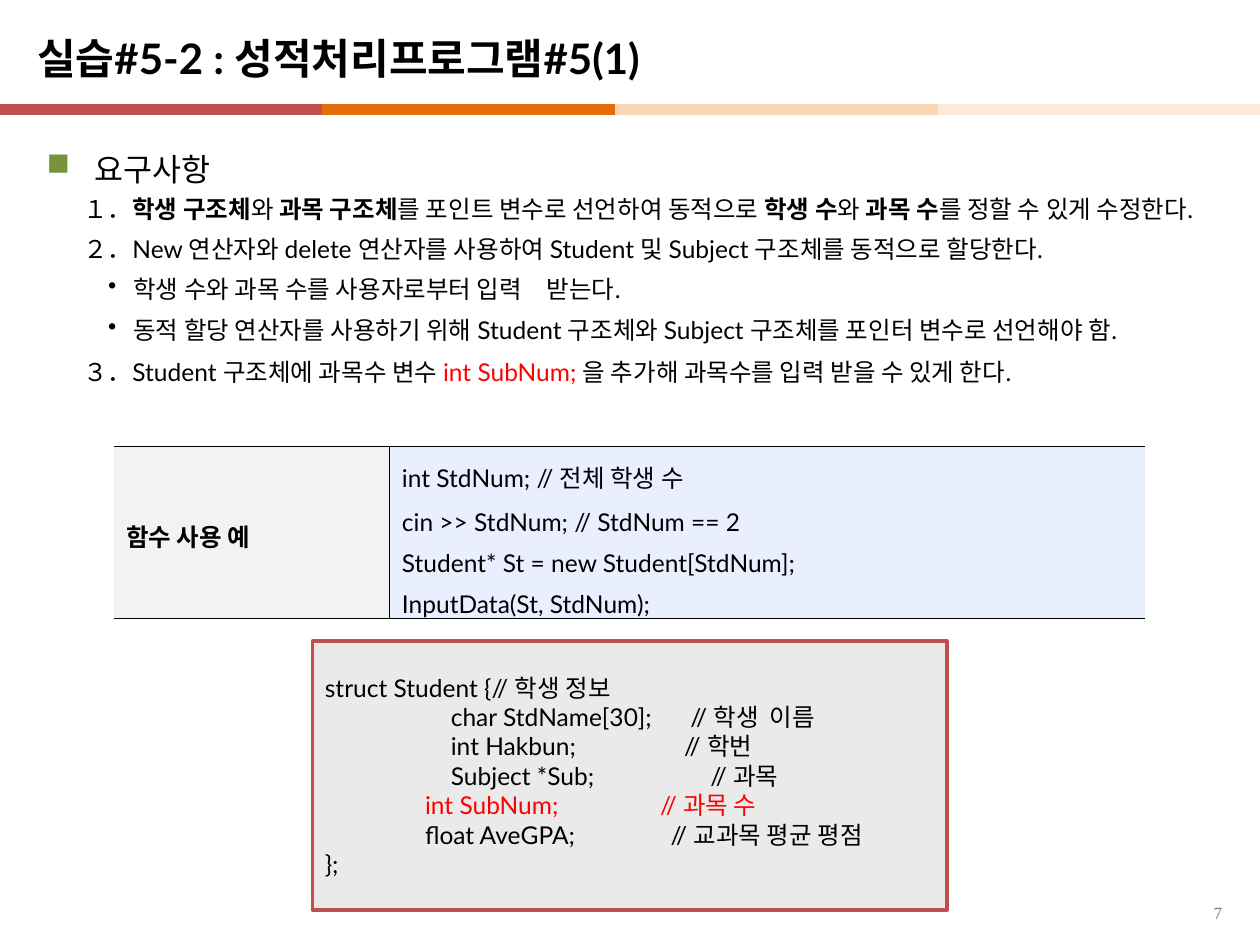
from lxml.etree import SubElement
from pptx import Presentation
from pptx.dml.color import RGBColor
from pptx.enum.shapes import MSO_CONNECTOR as Connector, MSO_SHAPE as Shape
from pptx.enum.text import MSO_ANCHOR as Anchor, PP_ALIGN as Align
from pptx.oxml.ns import qn
from pptx.util import Cm, Pt

COLORS = {
    "black": "000000", "red": "FF0000", "gray": "7F7F7F", "green": "77933C",
    "brick": "C0504D", "orange": "E46C0A", "peach": "FCD5B5", "cream": "FDEADA",
    "label": "F2F2F2", "code": "E9EFFF", "panel": "EAEAEA",
}
FONT = "Lato"
BOLD = {"bold": True}
RED = {"color": "red"}

REQUIREMENTS = [
    ("heading", [("요구사항", {})]),
    ("item", [
        ("１．", {}), ("학생 구조체", BOLD), ("와", {}), (" 과목 구조체", BOLD),
        ("를 포인트 변수로 선언하여 동적으로 ", {}), ("학생 수", BOLD), ("와 ", {}),
        ("과목 수", BOLD), ("를 정할 수 있게 수정한다.", {})]),
    ("item", [("２．New 연산자와 delete 연산자를 사용하여 Student 및 Subject 구조체를 동적으로 할당한다.", {})]),
    ("detail", [("학생 수와 과목 수를 사용자로부터 입력　받는다.", {})]),
    ("detail", [("동적 할당 연산자를 사용하기 위해 Student 구조체와 Subject 구조체를 포인터 변수로 선언해야 함.", {})]),
    ("item", [
        ("３．Student 구조체에 과목수 변수 ", {}), ("int SubNum; ", RED),
        ("을 추가해 과목수를 입력 받을 수 있게 한다.", {})]),
]
STYLES = {
    "heading": dict(level=0, left=0.97, hanging=0.97, bullet="■", bullet_color="green",
                    size=18, spacing=1.5, before=0, after=0),
    "item": dict(level=1, left=0.74, hanging=0, bullet=None, bullet_color=None,
                 size=14, spacing=1, before=3.9, after=2),
    "detail": dict(level=2, left=1.75, hanging=0.51, bullet="•", bullet_color="black",
                   size=14, spacing=1, before=3.9, after=3),
}
USAGE = [
    "int StdNum; // 전체 학생 수",
    "cin >> StdNum; // StdNum == 2",
    "Student* St = new Student[StdNum];",
    "InputData(St, StdNum);",
]
STRUCT = [
    ("struct Student {// 학생 정보", [], "black"),
    ("\tchar StdName[30];\t// 학생  이름", [2.54, 7.37], "black"),
    ("\tint Hakbun;\t// 학번", [2.54, 7.24], "black"),
    ("\tSubject *Sub;\t// 과목", [2.54, 7.77], "black"),
    ("\tint SubNum;\t// 과목 수", [2.02, 6.76], "red"),
    ("\tfloat AveGPA;\t// 교과목 평균 평점", [2.02, 6.97], "black"),
    ("};", [], "black"),
]


def rgb(name):
    return RGBColor.from_string(COLORS[name])


def set_font(paragraph, size, color="black", bold=False, name=FONT):
    font = paragraph.font
    font.name, font.size, font.bold = name, Pt(size), bold
    font.color.rgb = rgb(color)


def set_indent(paragraph, left, hanging, bullet, bullet_color):
    properties = paragraph._p.get_or_add_pPr()
    properties.set("marL", str(Cm(left)))
    properties.set("indent", str(-Cm(hanging)))
    if bullet:
        color = SubElement(properties, qn("a:buClr"))
        SubElement(color, qn("a:srgbClr"), val=COLORS[bullet_color])
        SubElement(properties, qn("a:buChar"), char=bullet)


def set_tabs(paragraph, stops):
    tabs = SubElement(paragraph._p.get_or_add_pPr(), qn("a:tabLst"))
    for stop in stops:
        SubElement(tabs, qn("a:tab"), pos=str(Cm(stop)), algn="l")


def add_paragraphs(frame, count):
    for _ in range(count - 1):
        frame.add_paragraph()
    return frame.paragraphs


def add_text_box(slide, left, top, width, height, anchor=Anchor.TOP):
    box = slide.shapes.add_textbox(Cm(left), Cm(top), Cm(width), Cm(height))
    frame = box.text_frame
    frame.word_wrap = True
    frame.vertical_anchor = anchor
    return frame


def add_color_rule(slide, top, width):
    step = width / 4 + 0.15
    starts = [width - 3 * step, width - 2 * step, width - step, 0]
    for start, color in zip(starts, ["orange", "peach", "cream", "brick"]):
        line = slide.shapes.add_connector(
            Connector.STRAIGHT, Cm(start), Cm(top), Cm(start + step), Cm(top))
        line.line.color.rgb = rgb(color)
        line.line.width = Pt(6)
        SubElement(line._element.spPr, qn("a:effectLst"))


def add_title(slide, left, top, width, height):
    paragraph = add_text_box(slide, left, top, width, height, Anchor.MIDDLE).paragraphs[0]
    paragraph.text = "실습#5-2 : 성적처리프로그램#5(1)"
    set_font(paragraph, 24, bold=True)


def add_requirements(slide, left, top, width, height):
    frame = add_text_box(slide, left, top, width, height)
    paragraphs = add_paragraphs(frame, len(REQUIREMENTS))
    for paragraph, (kind, parts) in zip(paragraphs, REQUIREMENTS):
        style = STYLES[kind]
        paragraph.level = style["level"]
        paragraph.line_spacing = style["spacing"]
        paragraph.space_before = Pt(style["before"])
        paragraph.space_after = Pt(style["after"])
        set_indent(paragraph, style["left"], style["hanging"],
                   style["bullet"], style["bullet_color"])
        set_font(paragraph, style["size"])
        for text, look in parts:
            run = paragraph.add_run()
            run.text = text
            if "bold" in look:
                run.font.bold = True
            if "color" in look:
                run.font.color.rgb = rgb(look["color"])


def set_borders(cell, widths):
    properties = cell._tc.get_or_add_tcPr()
    for side in "LRTB":
        if side in widths:
            line = SubElement(properties, qn(f"a:ln{side}"), w=str(Pt(widths[side])))
            fill = SubElement(line, qn("a:solidFill"))
            SubElement(fill, qn("a:srgbClr"), val=COLORS["black"])


def add_usage_table(slide, left, top, widths, height):
    table = slide.shapes.add_table(
        1, 2, Cm(left), Cm(top), Cm(sum(widths)), Cm(height)).table
    table.first_row = table.horz_banding = False
    table.rows[0].height = Cm(height)
    contents = [(["함수 사용 예"], "label", True, "R"), (USAGE, "code", False, "L")]
    for index, (lines, color, bold, inner_side) in enumerate(contents):
        table.columns[index].width = Cm(widths[index])
        cell = table.cell(0, index)
        cell.vertical_anchor = Anchor.MIDDLE
        set_borders(cell, {inner_side: 0.45, "T": 0.45, "B": 1.08})
        cell.fill.solid()
        cell.fill.fore_color.rgb = rgb(color)
        for paragraph, line in zip(add_paragraphs(cell.text_frame, len(lines)), lines):
            paragraph.text = line
            paragraph.line_spacing = 1.2
            paragraph.space_before = Pt(3.5)
            set_font(paragraph, 14, bold=bold)


def add_struct_panel(slide, left, top, width, height):
    panel = slide.shapes.add_shape(
        Shape.RECTANGLE, Cm(left), Cm(top), Cm(width), Cm(height))
    panel.shadow.inherit = False
    panel.fill.solid()
    panel.fill.fore_color.rgb = rgb("panel")
    panel.line.color.rgb = rgb("brick")
    panel.line.width = Pt(2.25)
    frame = panel.text_frame
    frame.word_wrap = True
    frame.vertical_anchor = Anchor.MIDDLE
    for paragraph, (text, stops, color) in zip(add_paragraphs(frame, len(STRUCT)), STRUCT):
        paragraph.text = text
        paragraph.alignment = Align.LEFT
        set_tabs(paragraph, stops)
        set_font(paragraph, 14, color)


def add_page_number(slide, left, top, width, height):
    paragraph = add_text_box(slide, left, top, width, height).paragraphs[0]
    paragraph.text = "7"
    paragraph.alignment = Align.RIGHT
    paragraph.line_spacing = 0.8
    set_font(paragraph, 9.8, "gray", name="Times New Roman")


def main():
    presentation = Presentation()
    presentation.slide_width, presentation.slide_height = Cm(25.4), Cm(19.05)
    slide = presentation.slides.add_slide(presentation.slide_layouts[6])
    add_color_rule(slide, 2.21, 25.4)
    add_title(slide, 0.5, 0.36, 24.4, 1.6)
    add_requirements(slide, 0.69, 2.51, 24.2, 15.8)
    add_page_number(slide, 18.97, 18.14, 5.92, 0.71)
    add_struct_panel(slide, 6.3, 12.93, 12.8, 5.41)
    add_usage_table(slide, 2.29, 8.99, [5.56, 15.24], 3.48)
    presentation.save("out.pptx")


if __name__ == "__main__":
    main()
